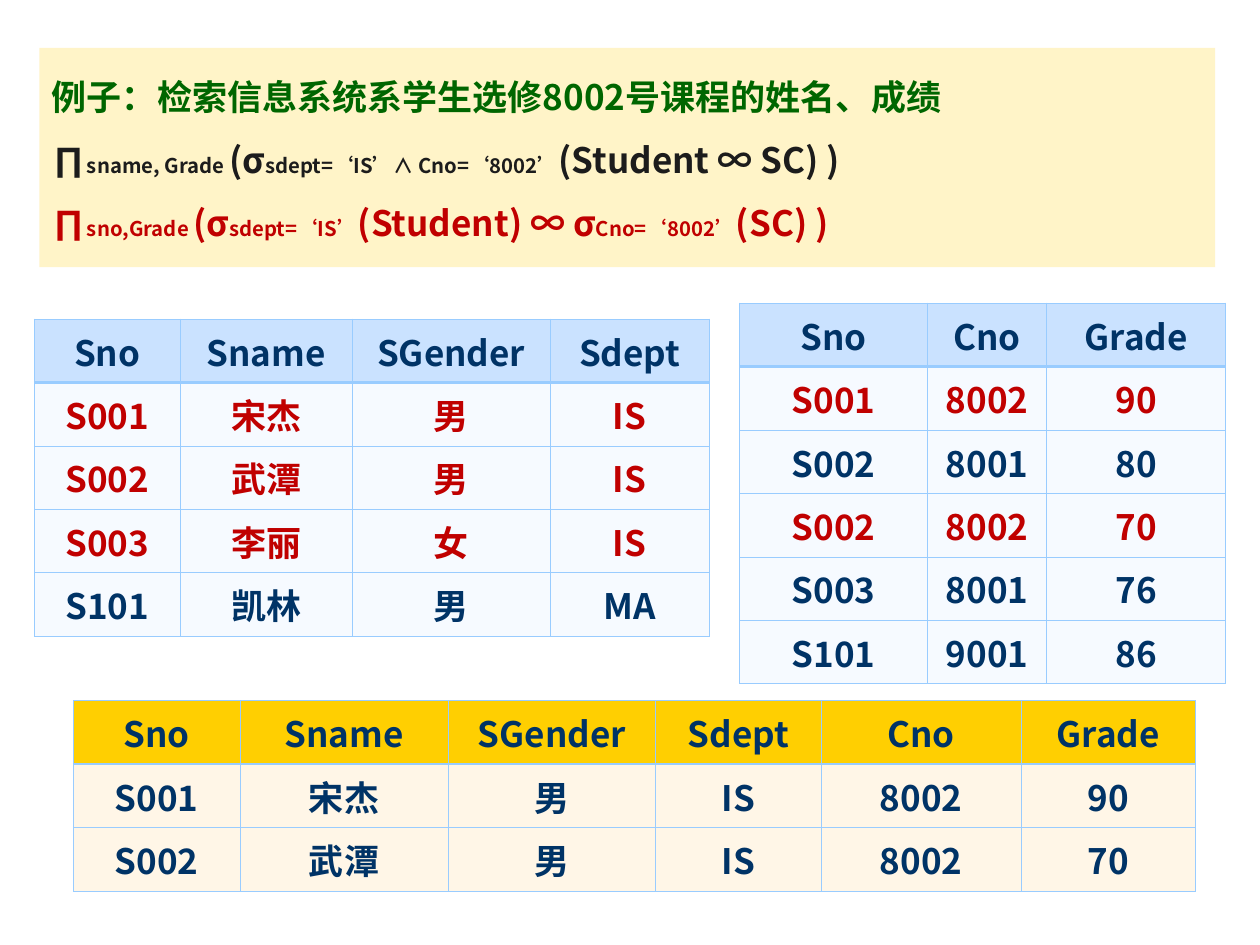
from lxml.etree import SubElement
from pptx import Presentation
from pptx.dml.color import RGBColor
from pptx.enum.shapes import MSO_SHAPE as Preset
from pptx.enum.text import MSO_ANCHOR as Anchor, MSO_AUTO_SIZE as AutoSize, PP_ALIGN as Align
from pptx.oxml.ns import qn
from pptx.util import Pt

FONT = "Noto Sans CJK SC"
NAVY, RED, GREEN, BLACK, SKY = "003366", "C00000", "006600", "1C1C1C", "99CCFF"
FONT_FORMAT = {"size": Pt(20), "bold": True, "name": FONT}


def color(value):
    return RGBColor.from_string(value)


def write(para, text, shade, baseline=0):
    span = para.add_run()
    span.text = text
    for name, value in FONT_FORMAT.items():
        setattr(span.font, name, value)
    span.font.color.rgb = color(shade)
    props = span.font._element
    SubElement(props, qn("a:ea"), typeface=FONT)
    if baseline:
        props.set("baseline", str(baseline))


deck = Presentation()
deck.slide_width, deck.slide_height = Pt(720), Pt(540)
page = deck.slides.add_slide(deck.slide_layouts[6])

students = [
    ["Sno", "Sname", "SGender", "Sdept"],
    ["S001", "宋杰", "男", "IS"],
    ["S002", "武潭", "男", "IS"],
    ["S003", "李丽", "女", "IS"],
    ["S101", "凯林", "男", "MA"],
]
courses = [
    ["Sno", "Cno", "Grade"],
    ["S001", "8002", "90"],
    ["S002", "8001", "80"],
    ["S002", "8002", "70"],
    ["S003", "8001", "76"],
    ["S101", "9001", "86"],
]
joined = [
    ["Sno", "Sname", "SGender", "Sdept", "Cno", "Grade"],
    ["S001", "宋杰", "男", "IS", "8002", "90"],
    ["S002", "武潭", "男", "IS", "8002", "70"],
]
tables = [
    (students, 19.5, 182.3, 167, [83.5, 98.2, 113.2, 90.9], "CAE2FF", "F6FAFF", "IS"),
    (courses, 422.5, 173.2, 187.2, [107.7, 67.9, 102.3], "CAE2FF", "F6FAFF", "8002"),
    (joined, 41.9, 400.3, 94.3, [95.3, 118.9, 118.5, 94.9, 114, 99.7], "FFCF01", "FFF6E7", None),
]

for rows, left, top, height, widths, head_fill, body_fill, match in tables:
    frame = page.shapes.add_table(
        len(rows), len(widths), Pt(left), Pt(top), Pt(sum(widths)), Pt(height))
    table = frame.table
    table.first_row = table.horz_banding = False
    for column, width in zip(table.columns, widths):
        column.width = Pt(width)
    for row_index, values in enumerate(rows):
        shade = RED if match in values else NAVY
        for column_index, value in enumerate(values):
            cell = table.cell(row_index, column_index)
            borders = {"L": 0.45, "R": 0.45,
                       "T": 1.47 if row_index == 1 else 0.45,
                       "B": 1.47 if row_index == 0 else 0.45}
            cell_props = cell._tc.get_or_add_tcPr()
            for side, weight in borders.items():
                line = SubElement(cell_props, qn(f"a:ln{side}"), w=str(Pt(weight)))
                SubElement(SubElement(line, qn("a:solidFill")), qn("a:srgbClr"), val=SKY)
            cell.fill.solid()
            cell.fill.fore_color.rgb = color(body_fill if row_index else head_fill)
            para = cell.text_frame.paragraphs[0]
            para.alignment = Align.CENTER
            write(para, value, shade)

box = page.shapes.add_shape(Preset.RECTANGLE, Pt(22.6), Pt(27.4), Pt(671.8), Pt(125.2))
box.shadow.inherit = False
box.fill.solid()
box.fill.fore_color.rgb = color("FFF4C8")
box.line.fill.background()
frame_format = {"word_wrap": True, "auto_size": AutoSize.SHAPE_TO_FIT_TEXT,
                "vertical_anchor": Anchor.TOP}
for name, value in frame_format.items():
    setattr(box.text_frame, name, value)

SUB = -25
formulas = [
    (GREEN, [("例子：检索信息系统系学生选修8002号课程的姓名、成绩", 0)]),
    (BLACK, [("∏", 0), ("sname, Grade ", SUB), ("(σ", 0),
             ("sdept=‘IS’∧ Cno=‘8002’", SUB), ("(Student ∞ SC) )", 0)]),
    (RED, [("∏", 0), ("sno,Grade ", SUB), ("(σ", 0), ("sdept=‘IS’", SUB),
           ("(Student) ∞ σ", 0), ("Cno=‘8002’", SUB), ("(SC) )", 0)]),
]
for index, (shade, parts) in enumerate(formulas):
    para = box.text_frame.add_paragraph() if index else box.text_frame.paragraphs[0]
    para.alignment = Align.LEFT
    para.line_spacing = 1.5
    for text, baseline in parts:
        write(para, text, shade, baseline)

deck.save("out.pptx")
